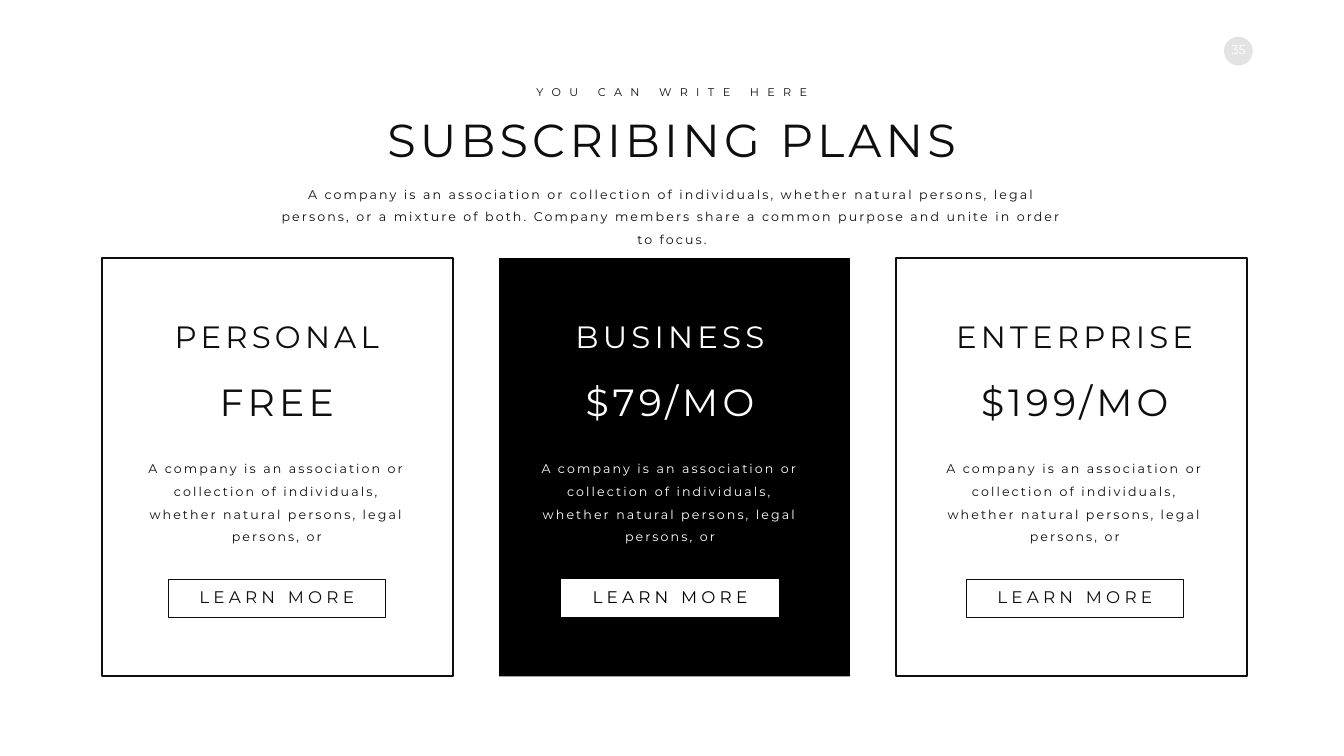
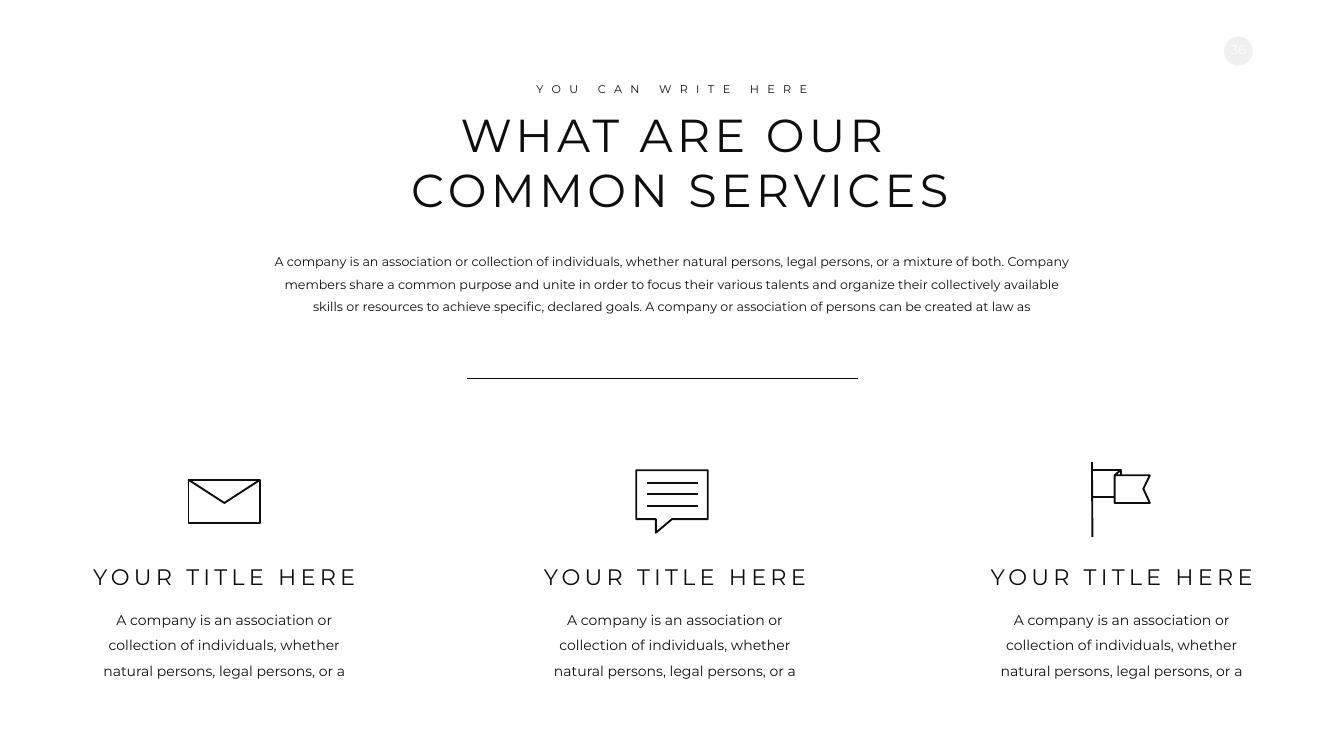
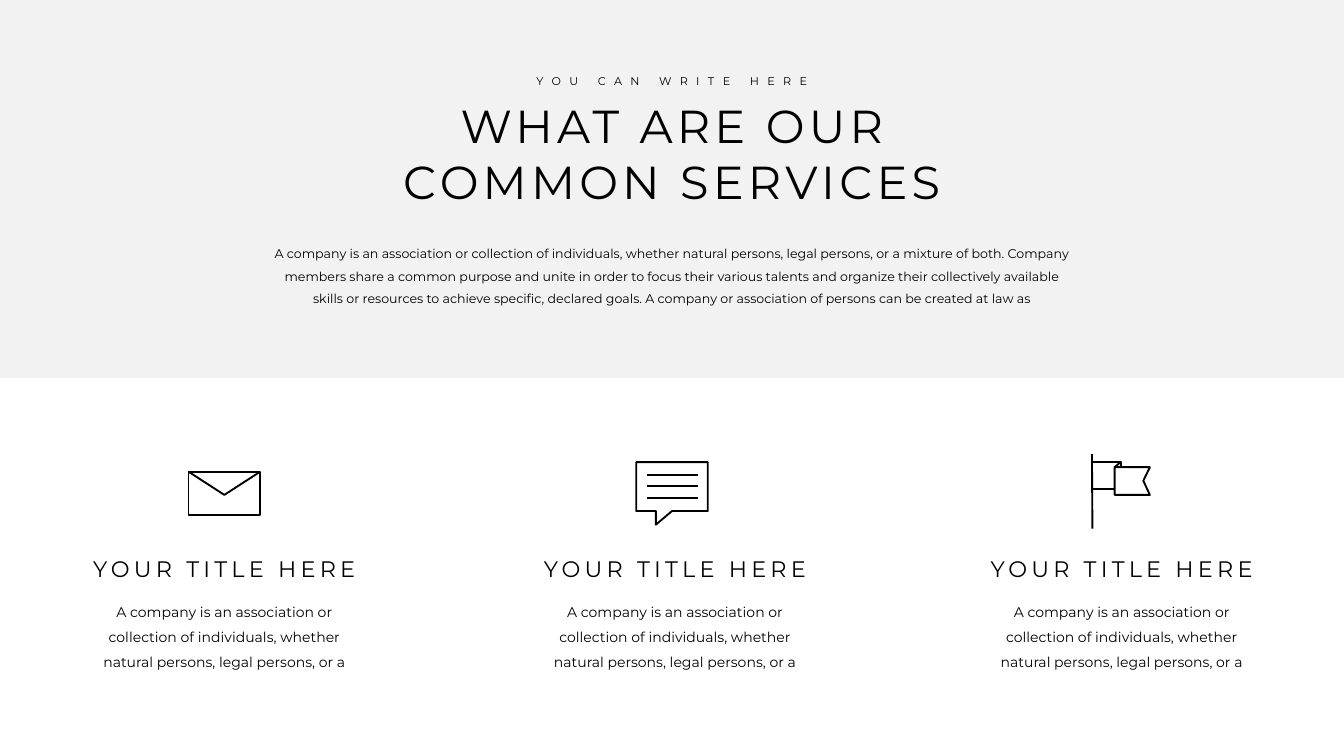
from lxml import etree
from pptx import Presentation
from pptx import util as u
from pptx.dml.color import RGBColor
from pptx.enum import shapes, text
from pptx.oxml.ns import qn

W, H = 26.66, 15
MID = W / 2
FONT = "Montserrat"
COLORS = {"ink": "0E0E0E", "black": "000000", "white": "FFFFFF", "band": "F2F2F2"}
STYLES = {
    "title": {"size": 66, "track": 6},
    "kicker": {"size": 16, "track": 12},
    "lead": {"size": 18, "spacing": 1.5},
    "spaced": {"size": 18, "track": 3, "spacing": 1.5},
    "plan": {"size": 44, "track": 6},
    "price": {"size": 54, "track": 6},
    "button": {"size": 24, "track": 6},
    "service": {"size": 32, "track": 6},
    "detail": {"size": 20, "spacing": 1.5},
    "number": {"size": 18},
}

KICKER = "YOU CAN WRITE HERE"
COMPANY = "A company is an association or collection of individuals, whether natural persons, legal persons, or"
PLANS_LEAD = COMPANY + " a mixture of both. Company members share a common purpose and unite in order to focus."
SERVICES_LEAD = (
    COMPANY + " a mixture of both. Company members share a common purpose and unite in order to focus "
    "their various talents and organize their collectively available skills or resources to achieve "
    "specific, declared goals. A company or association of persons can be created at law as"
)
PLANS = [
    {"name": "PERSONAL", "price": "FREE", "center": 5.49},
    {"name": "BUSINESS", "price": "$79/MO", "center": 13.29, "dark": True},
    {"name": "ENTERPRISE", "price": "$199/MO", "center": 21.32},
]
ENVELOPE = [
    [(0.71, 1.21), (-0.71, 1.21), (-0.71, 0.35), (0.71, 0.35), (0.71, 1.21)],
    [(-0.71, 0.35), (0, 0.81), (0.71, 0.35)],
]
CHAT = [[(-0.5, y), (0.51, y)] for y in (0.41, 0.64, 0.87)] + [
    [(0, 1.13), (0.71, 1.13), (0.71, 0.16), (-0.71, 0.16),
     (-0.71, 1.13), (-0.32, 1.13), (-0.32, 1.4), (0, 1.13)],
]
FLAG = [
    [(-0.58, 0), (-0.57, 1.48)],
    [(0, 0.15), (-0.13, 0.26), (-0.13, 0.81), (0.57, 0.81), (0.44, 0.53), (0.57, 0.26), (-0.13, 0.26)],
    [(-0.13, 0.69), (-0.58, 0.69), (-0.58, 0.15), (0, 0.15), (0, 0.26)],
]
SERVICES = [
    {"icon": ENVELOPE, "icon_center": 4.45, "center": 4.45},
    {"icon": CHAT, "icon_center": 13.33, "center": 13.39},
    {"icon": FLAG, "icon_center": 22.24, "center": 22.25},
]


def rgb(name):
    return RGBColor.from_string(COLORS[name])


def place(sp, x, y, w, h):
    for key, value in {"left": x, "top": y, "width": w, "height": h}.items():
        setattr(sp, key, u.Inches(value))


def paint(sp, fill=None, line=None, width=1):
    if fill:
        sp.fill.solid()
        sp.fill.fore_color.rgb = rgb(fill)
    else:
        sp.fill.background()
    if line:
        sp.line.color.rgb = rgb(line)
        sp.line.width = u.Pt(width)
    else:
        sp.line.fill.background()


def box(s, x, y, w, h, fill=None, line=None, width=1, kind=shapes.MSO_SHAPE.RECTANGLE):
    sp = s.shapes.add_shape(kind, *map(u.Inches, (x, y, w, h)))
    sp.shadow.inherit = False
    paint(sp, fill, line, width)
    return sp


def write(sp, lines, style, color, wrap=True):
    look = STYLES[style]
    tf = sp.text_frame
    frame = {"word_wrap": wrap, "vertical_anchor": text.MSO_ANCHOR.TOP,
             "auto_size": text.MSO_AUTO_SIZE.SHAPE_TO_FIT_TEXT}
    for key, value in frame.items():
        setattr(tf, key, value)
    for i, line in enumerate(lines):
        p = tf.add_paragraph() if i else tf.paragraphs[0]
        if sp.is_placeholder:
            pPr = p._p.get_or_add_pPr()
            pPr.set("marL", "0")
            pPr.set("indent", "0")
            etree.SubElement(pPr, qn("a:buNone"))
        layout = {"alignment": text.PP_ALIGN.CENTER, "space_before": u.Pt(0),
                  "line_spacing": look.get("spacing", 1.0)}
        for key, value in layout.items():
            setattr(p, key, value)
        r = p.add_run()
        r.text = line
        r.font.name = FONT
        r.font.size = u.Pt(look["size"])
        r.font.color.rgb = rgb(color)
        if "track" in look:
            r._r.get_or_add_rPr().set("spc", str(look["track"] * 100))


def label(s, line, style, color, center, y, w, h, wrap=True):
    sp = s.shapes.add_textbox(*map(u.Inches, (center - w / 2, y, w, h)))
    write(sp, [line], style, color, wrap)
    return sp


def stroke(container, points, color, width):
    pts = [(u.Inches(x), u.Inches(y)) for x, y in points]
    if len(pts) == 2:
        sp = container.add_connector(shapes.MSO_CONNECTOR.STRAIGHT, *pts[0], *pts[1])
        etree.SubElement(sp._element.spPr, qn("a:effectLst"))
        sp.line.color.rgb = rgb(color)
        sp.line.width = u.Pt(width)
        return
    builder = container.build_freeform(*pts[0])
    builder.add_line_segments(pts[1:], close=pts[0] == pts[-1])
    sp = builder.convert_to_shape()
    sp.shadow.inherit = False
    paint(sp, line=color, width=width)


def badge(s, number, veil):
    sp = box(s, 24.28, 0.73, 0.57, 0.57, "black", kind=shapes.MSO_SHAPE.OVAL)
    label(s, number, "number", "white", 24.57, 0.78, 0.8, 0.4, wrap=False)
    cover = box(s, 0, 0, W, H, "white")
    clr = cover._element.spPr.find(".//" + qn("a:srgbClr"))
    etree.SubElement(clr, qn("a:alpha")).set("val", str(veil * 1000))


def header(s, top, title, title_box, lead, lead_style, lead_box, color, fill=None):
    kicker = label(s, KICKER, "kicker", color, MID, top, 5.93, 0.37, wrap=False)
    for sp, lines, style, (y, w, h), wrap in (
        (s.shapes.title, title, "title", title_box, False),
        (s.placeholders[1], [lead], lead_style, lead_box, True),
    ):
        s.shapes._spTree.append(sp._element)
        place(sp, MID - w / 2, y, w, h)
        write(sp, lines, style, color, wrap)
        if fill:
            paint(sp, fill)
    if fill:
        paint(kicker, fill)


def plan_card(s, i, plan):
    dark = plan.get("dark")
    color = "white" if dark else "ink"
    center = plan["center"]
    card = {"fill": "black"} if dark else {"line": "ink", "width": 3}
    button = {"fill": "white"} if dark else {"line": "ink"}
    box(s, 2.03 + 7.87 * i, 5.12, 6.96, 8.3, **card)
    label(s, plan["name"], "plan", color, center, 6.25, 5.64, 0.84)
    label(s, plan["price"], "price", color, center, 7.47, 4.97, 1.01)
    label(s, COMPANY, "spaced", color, center, 8.95, 5.31, 1.92)
    box(s, center - 2.16, 11.49, 4.32, 0.75, **button)
    label(s, "LEARN MORE", "button", "black" if dark else "ink", center, 11.59, 3.74, 0.5)


def services(s, shift, color):
    for item in SERVICES:
        group = s.shapes.add_group_shape()
        for points in item["icon"]:
            moved = [(item["icon_center"] + x, 9.17 + shift + y) for x, y in points]
            stroke(group.shapes, moved, color, 2.7)
        label(s, "YOUR TITLE HERE", "service", color, item["center"], 11.12 + shift, 5.47, 0.64, wrap=False)
        label(s, COMPANY + " a", "detail", color, item["center"], 11.92 + shift, 5.25, 1.54)


def main():
    prs = Presentation()
    prs.slide_width, prs.slide_height = u.Inches(W), u.Inches(H)
    layout = prs.slide_layouts[1]

    s = prs.slides.add_slide(layout)
    badge(s, "35", 89)
    header(s, 1.65, ["SUBSCRIBING PLANS"], (2.15, 11.73, 1.21),
           PLANS_LEAD, "spaced", (3.5, 16.03, 0.95), "ink")
    for i, plan in enumerate(PLANS):
        plan_card(s, i, plan)

    s = prs.slides.add_slide(layout)
    badge(s, "36", 94)
    header(s, 1.58, ["WHAT ARE OUR", " COMMON SERVICES"], (2.05, 11.21, 2.32),
           SERVICES_LEAD, "lead", (4.84, 16.14, 1.4), "ink")
    services(s, 0, "ink")
    stroke(s.shapes, [(9.27, H / 2), (17.02, H / 2)], "ink", 0.5)

    s = prs.slides.add_slide(layout)
    box(s, 0, 0, W, H / 2, "band")
    header(s, 1.42, ["WHAT ARE OUR", "COMMON SERVICES"], (1.89, 10.89, 2.32),
           SERVICES_LEAD, "lead", (4.68, 16.14, 1.4), "black", "band")
    services(s, -0.16, "black")

    prs.save("out.pptx")


if __name__ == "__main__":
    main()
